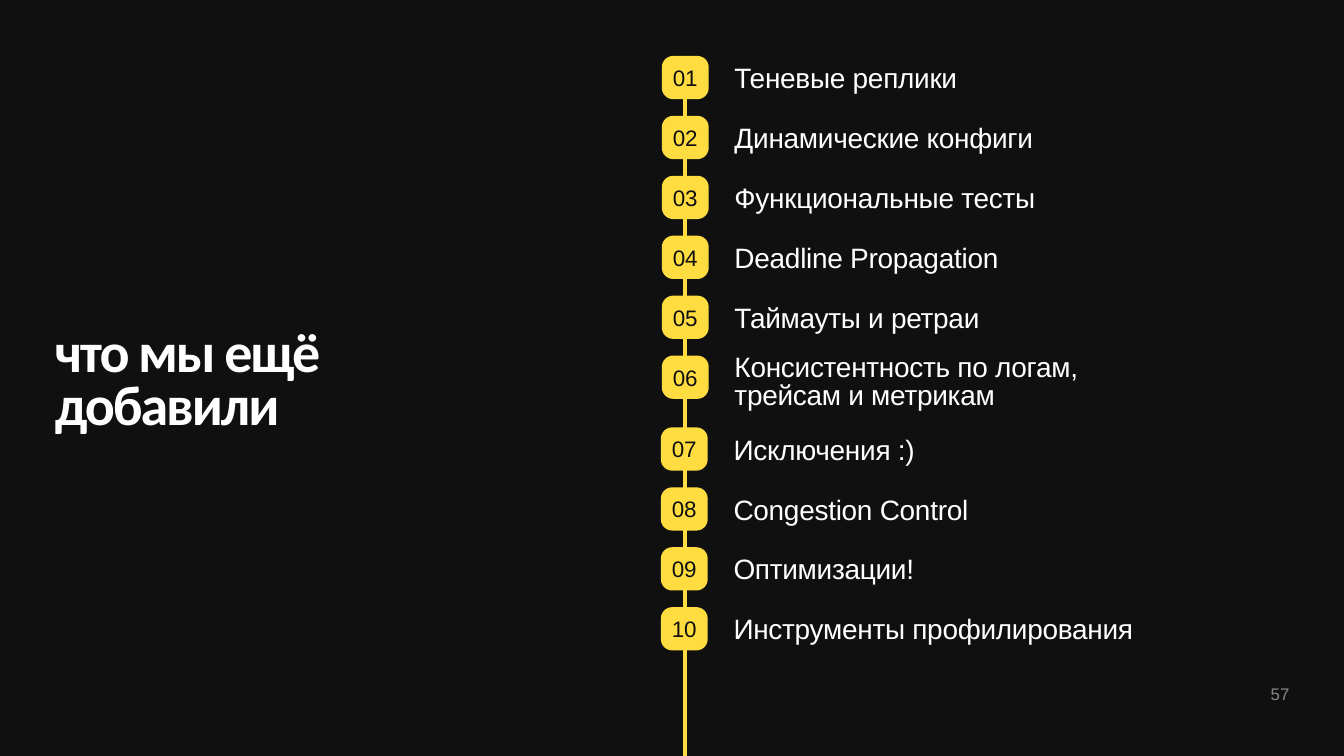
import pptx
import pptx.dml.color
import pptx.enum.shapes
import pptx.enum.text
import pptx.oxml
import pptx.oxml.ns
import pptx.util
from pptx.util import Cm

COLOURS = {"background": "101010", "accent": "FFDD40", "text": "FFFFFF"}
ANCHOR = pptx.enum.text.MSO_ANCHOR
ALIGN = pptx.enum.text.PP_ALIGN
SHAPE = pptx.enum.shapes.MSO_SHAPE

TITLE_LINES = ["что мы ещё", "добавили"]
FIRST_TOPICS = [
    "Теневые реплики",
    "Динамические конфиги",
    "Функциональные тесты",
    "Deadline Propagation",
    "Таймауты и ретраи",
    "Консистентность по логам, трейсам и метрикам",
]
LAST_TOPICS = [
    "Исключения :)",
    "Congestion Control",
    "Оптимизации!",
    "Инструменты профилирования",
]
ROW_PITCH = 3.02
LABEL_WIDTH = 22.1
ONE_LINE_LIMIT = 30  # characters that fit on one line of a label


def colour(name):
    return pptx.dml.color.RGBColor.from_string(COLOURS[name])


def add_run(paragraph, text, size, colour_name, font="Arial", tracking=0, bold=False):
    """Add a formatted run; tracking is in hundredths of a point."""
    run = paragraph.add_run()
    run.text = text
    run.font.name = font
    run.font.size = pptx.util.Pt(size)
    run.font.bold = bold
    run.font.color.rgb = colour(colour_name)
    run.font._element.set("spc", str(tracking))
    return run


def set_frame(frame, anchor, left=0, top=0, right=0, bottom=0):
    """Set wrapping, anchor and margins (in cm) of a text frame."""
    frame.word_wrap = True
    frame.auto_size = pptx.enum.text.MSO_AUTO_SIZE.NONE
    frame.vertical_anchor = anchor
    frame.margin_left, frame.margin_top = Cm(left), Cm(top)
    frame.margin_right, frame.margin_bottom = Cm(right), Cm(bottom)


def fill_title(slide, left, top, width, height):
    title = slide.shapes.title
    title.left, title.top, title.width, title.height = map(Cm, (left, top, width, height))
    set_frame(title.text_frame, ANCHOR.TOP, top=0.56)
    paragraph = title.text_frame.paragraphs[0]
    paragraph.alignment = ALIGN.LEFT
    paragraph.line_spacing = 0.8
    for index, line in enumerate(TITLE_LINES):
        if index:
            paragraph.add_line_break()
        add_run(paragraph, line, 80, "text", "Calibri", -300, True)


def add_timeline(slide, x, top, bottom):
    line = slide.shapes.add_connector(
        pptx.enum.shapes.MSO_CONNECTOR.STRAIGHT, Cm(x), Cm(top), Cm(x), Cm(bottom))
    line.line.color.rgb = colour("accent")
    line.line.width = pptx.util.Pt(5)
    outline = line.line._get_or_add_ln()
    for tag, kind in (("a:headEnd", "oval"), ("a:tailEnd", "triangle")):
        end = pptx.oxml.parse_xml(f'<{tag} {pptx.oxml.ns.nsdecls("a")} type="{kind}"/>')
        outline.append(end)
    line._element.spPr.append(
        pptx.oxml.parse_xml(f'<a:effectLst {pptx.oxml.ns.nsdecls("a")}/>'))


def add_row(slide, left, top, number, topic):
    """Group a numbered badge with the topic to its right."""
    group = slide.shapes.add_group_shape()
    badge = group.shapes.add_shape(
        SHAPE.ROUNDED_RECTANGLE, Cm(left), Cm(top), Cm(2.36), Cm(2.18))
    badge.adjustments[0] = 0.26
    badge.shadow.inherit = False
    badge.fill.solid()
    badge.fill.fore_color.rgb = colour("accent")
    badge.line.fill.background()
    set_frame(badge.text_frame, ANCHOR.MIDDLE, 0.25, 0.13, 0.25, 0.13)
    paragraph = badge.text_frame.paragraphs[0]
    paragraph.alignment = ALIGN.CENTER
    add_run(paragraph, f"{number:02d}", 32, "background", tracking=-30)

    one_line = len(topic) <= ONE_LINE_LIMIT
    label = group.shapes.add_textbox(
        Cm(left + 3.66), Cm(top + (0.52 if one_line else 0)),
        Cm(LABEL_WIDTH), Cm(1.41 if one_line else 2.82))
    set_frame(label.text_frame, ANCHOR.TOP)
    paragraph = label.text_frame.paragraphs[0]
    paragraph.line_spacing = pptx.util.Pt(40)
    add_run(paragraph, topic, 40, "text", tracking=-40)


def add_topics(slide, left, top, first_number, topics):
    for index, topic in enumerate(topics):
        add_row(slide, left, top + index * ROW_PITCH, first_number + index, topic)


def add_page_number(slide, left, top, width, height, number):
    box = slide.shapes.add_textbox(Cm(left), Cm(top), Cm(width), Cm(height))
    set_frame(box.text_frame, ANCHOR.MIDDLE, top=0.13, bottom=0.13)
    paragraph = box.text_frame.paragraphs[0]
    paragraph.alignment = ALIGN.RIGHT
    run = add_run(paragraph, str(number), 24, "text")
    rgb = run.font._element.find(".//" + pptx.oxml.ns.qn("a:srgbClr"))
    rgb.append(pptx.oxml.parse_xml(
        f'<a:alpha {pptx.oxml.ns.nsdecls("a")} val="50000"/>'))


def main():
    presentation = pptx.Presentation()
    presentation.slide_width, presentation.slide_height = Cm(67.72), Cm(38.1)
    slide = presentation.slides.add_slide(presentation.slide_layouts[5])
    slide.background.fill.solid()
    slide.background.fill.fore_color.rgb = colour("background")

    fill_title(slide, 2.77, 16.03, 62.2, 6.05)
    add_timeline(slide, 34.52, 3.91, 39.62)
    add_page_number(slide, 57.5, 33.93, 7.47, 2.03, 57)
    add_topics(slide, 33.35, 2.82, 1, FIRST_TOPICS)
    add_topics(slide, 33.3, 21.54, len(FIRST_TOPICS) + 1, LAST_TOPICS)
    presentation.save("out.pptx")


if __name__ == "__main__":
    main()
